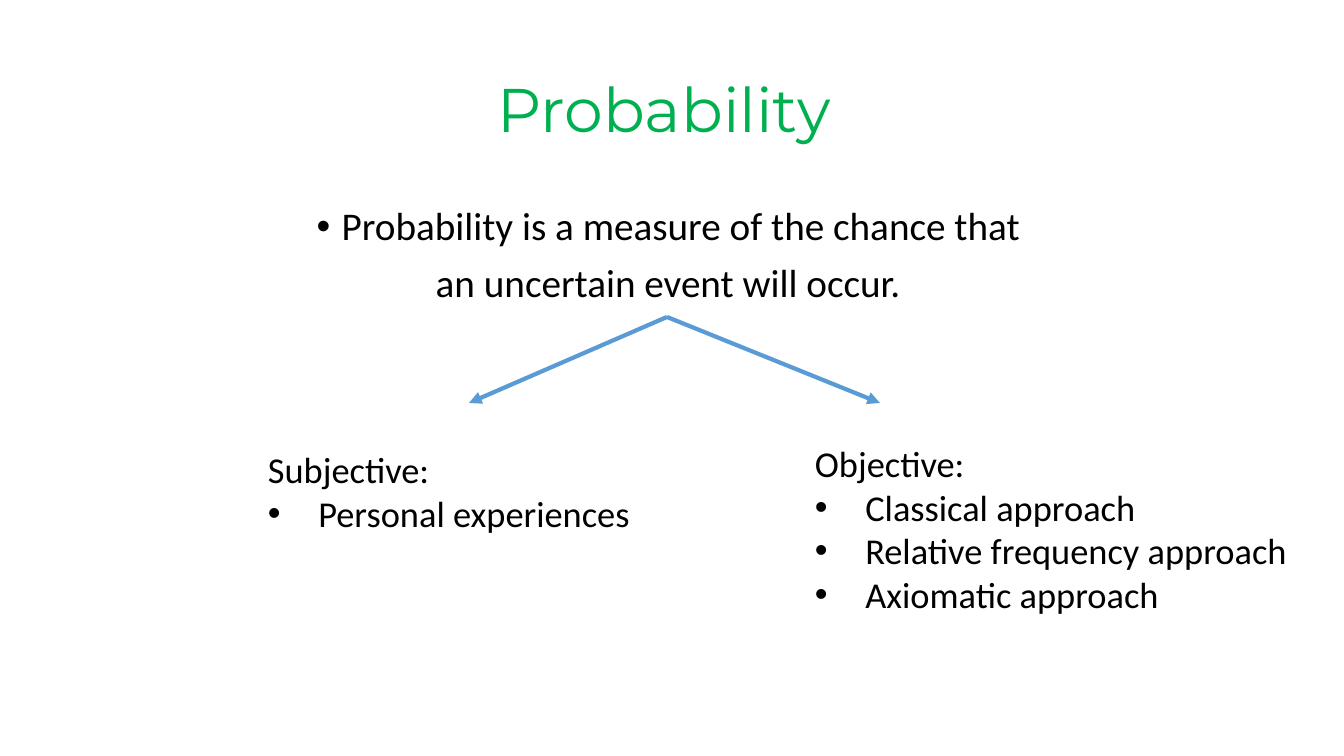
import pptx
import pptx.util
import pptx.dml.color
import pptx.enum.shapes
import pptx.enum.text
import pptx.oxml
import pptx.oxml.ns

RGB = pptx.dml.color.RGBColor
GREEN = RGB(0x00, 0xB0, 0x50)
BLUE = RGB(0x5B, 0x9B, 0xD5)
BLACK = RGB(0, 0, 0)
ALIGN = pptx.enum.text.PP_ALIGN
ANCHOR = pptx.enum.text.MSO_ANCHOR
PX = 914400 / 100.8

# Content: each line is (text, bulleted); boxes are left, top, width, height
TITLE = ("Probability ", (93, 40, 1159, 146))
MEANING = ([("Probability is a measure of the chance that ", True),
            ("an uncertain event will occur. ", False)],
           (93, 202, 1159, 480))
KINDS = [
    ([("Subjective:", False), ("Personal experiences ", True)],
     (258, 442, 420, 99)),
    ([("Objective:", False), ("Classical approach", True),
      ("Relative frequency approach", True), ("Axiomatic approach  ", True)],
     (805, 436, 539, 186)),
]
FORK = (667, 317)
TIPS = [(469, 403), (880, 403)]


def px(*nums):
    return [pptx.util.Emu(round(n * PX)) for n in nums]


def write(para, text, font, size, color):
    run = para.add_run()
    run.text = text
    run.font.name = font
    run.font.size = pptx.util.Pt(size)
    run.font.color.rgb = color


def bullet(para, inch):
    props = para._p.get_or_add_pPr()
    gap = pptx.util.Inches(inch)
    props.set("marL", str(gap))
    props.set("indent", str(-gap))
    for tag, attr, val in (("a:buFont", "typeface", "Arial"),
                           ("a:buChar", "char", "\u2022")):
        node = pptx.oxml.parse_xml(f"<{tag} {pptx.oxml.ns.nsdecls('a')}/>")
        node.set(attr, val)
        props.append(node)


def block(lines, box, size, inch):
    frame = slide.shapes.add_textbox(*px(*box)).text_frame
    frame.word_wrap = True
    for i, (text, dot) in enumerate(lines):
        para = frame.add_paragraph() if i else frame.paragraphs[0]
        write(para, text, "Calibri", size, BLACK)
        if dot:
            bullet(para, inch)
    return frame


deck = pptx.Presentation()
deck.slide_width, deck.slide_height = px(1344, 756)
slide = deck.slides.add_slide(deck.slide_layouts[5])

# Title
head = slide.shapes.title
text, box = TITLE
head.left, head.top, head.width, head.height = px(*box)
head.text_frame.vertical_anchor = ANCHOR.MIDDLE
para = head.text_frame.paragraphs[0]
para.alignment = ALIGN.CENTER
para.line_spacing = 0.9
write(para, text, "Montserrat", 44, GREEN)

# Definition
frame = block(*MEANING, 28, 0.25)
for para in frame.paragraphs:
    para.alignment = ALIGN.CENTER
    para.line_spacing = 0.9
frame.paragraphs[1].space_before = pptx.util.Pt(10)

# Arrows to the two kinds
for tip in TIPS:
    arrow = slide.shapes.add_connector(
        pptx.enum.shapes.MSO_CONNECTOR.STRAIGHT, *px(*FORK, *tip))
    arrow.line.color.rgb = BLUE
    arrow.line.width = pptx.util.Pt(3)
    for tag, home in (('a:tailEnd type="triangle"', arrow.line._get_or_add_ln()),
                      ("a:effectLst", arrow._element.spPr)):
        home.append(pptx.oxml.parse_xml(f"<{tag} {pptx.oxml.ns.nsdecls('a')}/>"))

# Kinds of probability
for lines, box in KINDS:
    block(lines, box, 26, 0.5)

deck.save("out.pptx")
